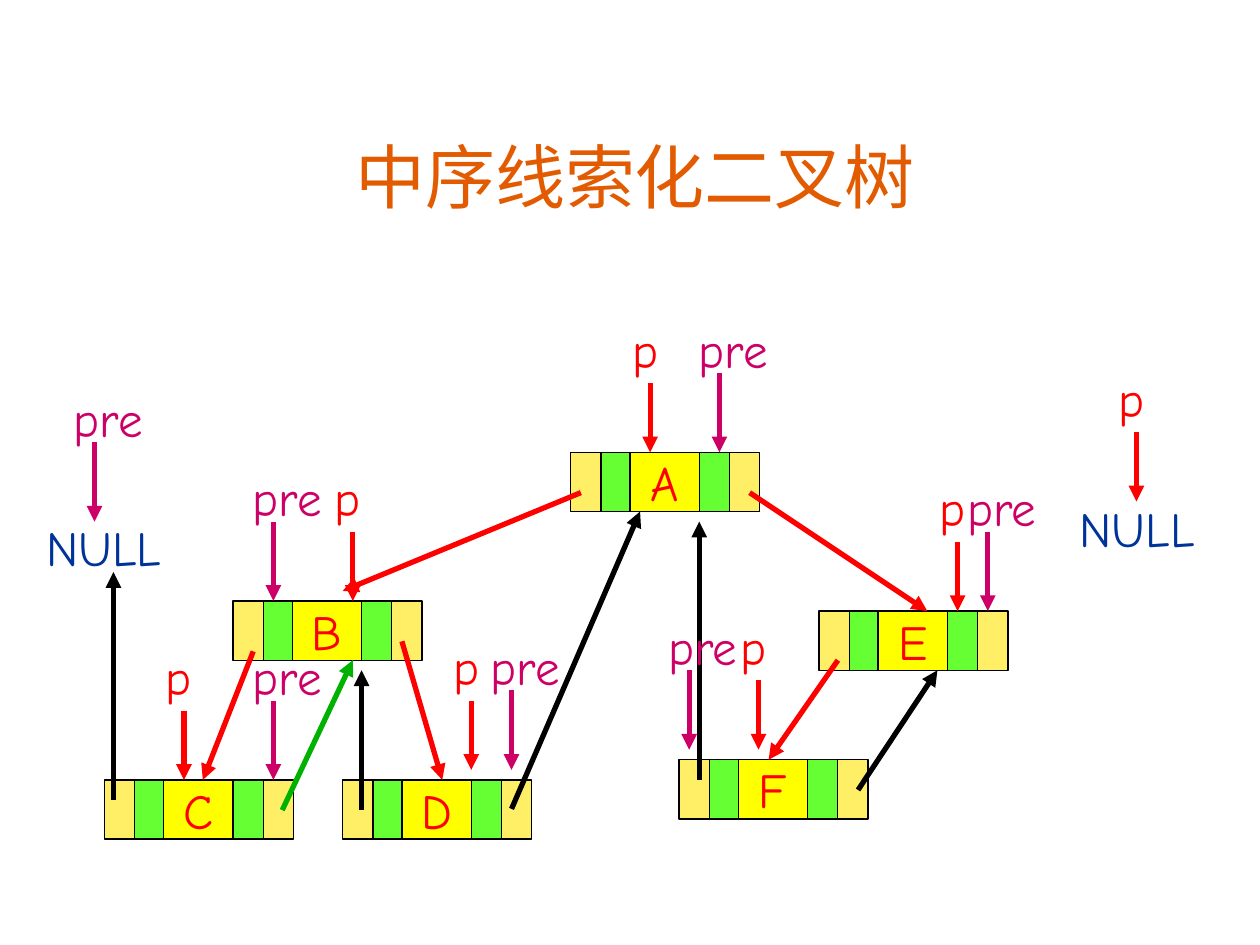
from lxml import etree
from pptx import Presentation
from pptx import util as u
from pptx.dml.color import RGBColor
from pptx.enum import shapes, text
from pptx.oxml import ns

PX = 9144  # EMU per px, 100 px to the inch
FONT = "Comic Neue"

BLACK = RGBColor(0x00, 0x00, 0x00)
RED = RGBColor(0xFF, 0x00, 0x00)
MAGENTA = RGBColor(0xCC, 0x00, 0x66)
GREEN = RGBColor(0x00, 0xB2, 0x00)
BLUE = RGBColor(0x00, 0x33, 0x99)
ORANGE = RGBColor(0xE2, 0x5B, 0x00)
POINTER_FILL = RGBColor(0xFF, 0xEF, 0x66)
TAG_FILL = RGBColor(0x66, 0xFF, 0x33)
DATA_FILL = RGBColor(0xFF, 0xFF, 0x00)

# Node cells: left child, left tag, data, right tag, right child
CELL_EDGES = (0, 24, 47, 102, 126, 150)
CELL_FILLS = (POINTER_FILL, TAG_FILL, DATA_FILL, TAG_FILL, POINTER_FILL)
NODE_HEIGHT = 47
NODES = {"A": (453, 359), "B": (185, 477), "C": (83, 619),
         "D": (272, 619), "E": (650, 485), "F": (539, 603)}

# Arrows: start x, start y, end x, end y
CHILD_LINKS = ((461, 391, 272, 469), (201, 517, 161, 619), (319, 509, 351, 619),
               (595, 391, 736, 485), (665, 524, 610, 603))
THREADS = (((90, 635, 90, 454), BLACK), ((224, 643, 280, 524), GREEN),
           ((287, 643, 287, 532), BLACK), ((406, 642, 508, 406), BLACK),
           ((555, 619, 555, 414), BLACK), ((681, 627, 744, 532), BLACK))

# Markers: colour, arrow start inside the label box, arrow tips
MARKER_SIZE = (86, 55)
MARKER_TIP = 110
MARKERS = {
    "p": (RED, (47, 55), ((516, 359), (280, 477), (146, 619), (374, 611),
                          (760, 485), (602, 595), (902, 398))),
    "pre": (MAGENTA, (32, 47), ((75, 414), (217, 619), (217, 477), (406, 611),
                                (571, 359), (547, 595), (784, 485))),
}
NULL_LABELS = ((27, 406), (847, 391))


def px(*lengths):
    return [u.Emu(length * PX) for length in lengths]


def apply(target, formats):
    for name, value in formats.items():
        setattr(target, name, value)


def write(shape, words, color, size=28, align=text.PP_ALIGN.CENTER,
          anchor=text.MSO_ANCHOR.MIDDLE, wrap=False):
    frame = shape.text_frame
    apply(frame, {"text": words, "word_wrap": wrap, "vertical_anchor": anchor})
    paragraph = frame.paragraphs[0]
    paragraph.alignment = align
    apply(paragraph.font, {"name": FONT, "size": u.Pt(size), "bold": False})
    paragraph.font.color.rgb = color


def add_cell(slide, left, top, width, fill):
    cell = slide.shapes.add_shape(shapes.MSO_SHAPE.RECTANGLE,
                                  *px(left, top, width, NODE_HEIGHT))
    cell.shadow.inherit = False
    cell.fill.solid()
    cell.fill.fore_color.rgb = fill
    cell.line.color.rgb = BLACK
    cell.line.width = u.Pt(0.75)
    return cell


def add_node(slide, name, left, top):
    for start, end, fill in zip(CELL_EDGES, CELL_EDGES[1:], CELL_FILLS):
        cell = add_cell(slide, left + start, top, end - start, fill)
        if fill == DATA_FILL:
            write(cell, name, RED)


def add_arrow(container, points, color):
    arrow = container.shapes.add_connector(shapes.MSO_CONNECTOR.STRAIGHT, *px(*points))
    arrow.line.color.rgb = color
    arrow.line.width = u.Pt(3)
    line = arrow.line._get_or_add_ln()
    etree.SubElement(line, ns.qn("a:tailEnd"), type="triangle")
    etree.SubElement(arrow._element.spPr, ns.qn("a:effectLst"))


def add_marker(slide, name, color, offset, tip):
    """Group a pointer name with the arrow that falls from it to the tip."""
    group = slide.shapes.add_group_shape()
    left, top = tip[0] - offset[0], tip[1] - MARKER_TIP
    label = group.shapes.add_textbox(*px(left, top, *MARKER_SIZE))
    write(label, name, color)
    add_arrow(group, (tip[0], top + offset[1], *tip), color)


def add_null(slide, left, top):
    label = slide.shapes.add_textbox(*px(left, top, 134, 57))
    write(label, "NULL", BLUE, align=text.PP_ALIGN.LEFT,
          anchor=text.MSO_ANCHOR.TOP, wrap=True)


def set_title(slide, words):
    title = slide.shapes.title
    left, top, width, height = px(75, 95, 858, 83)
    apply(title, {"left": left, "top": top, "width": width, "height": height})
    write(title, words, ORANGE, size=40, anchor=text.MSO_ANCHOR.BOTTOM, wrap=True)


def main():
    presentation = Presentation()
    presentation.slide_width, presentation.slide_height = px(1000, 750)
    slide = presentation.slides.add_slide(presentation.slide_layouts[5])
    set_title(slide, "中序线索化二叉树")

    # Tree
    for name, corner in NODES.items():
        add_node(slide, name, *corner)
    for points in CHILD_LINKS:
        add_arrow(slide, points, RED)

    # Threads and their outer ends
    for corner in NULL_LABELS:
        add_null(slide, *corner)
    for points, color in THREADS:
        add_arrow(slide, points, color)

    # Traversal pointers
    for name, (color, offset, tips) in MARKERS.items():
        for tip in tips:
            add_marker(slide, name, color, offset, tip)

    presentation.save("out.pptx")


if __name__ == "__main__":
    main()
